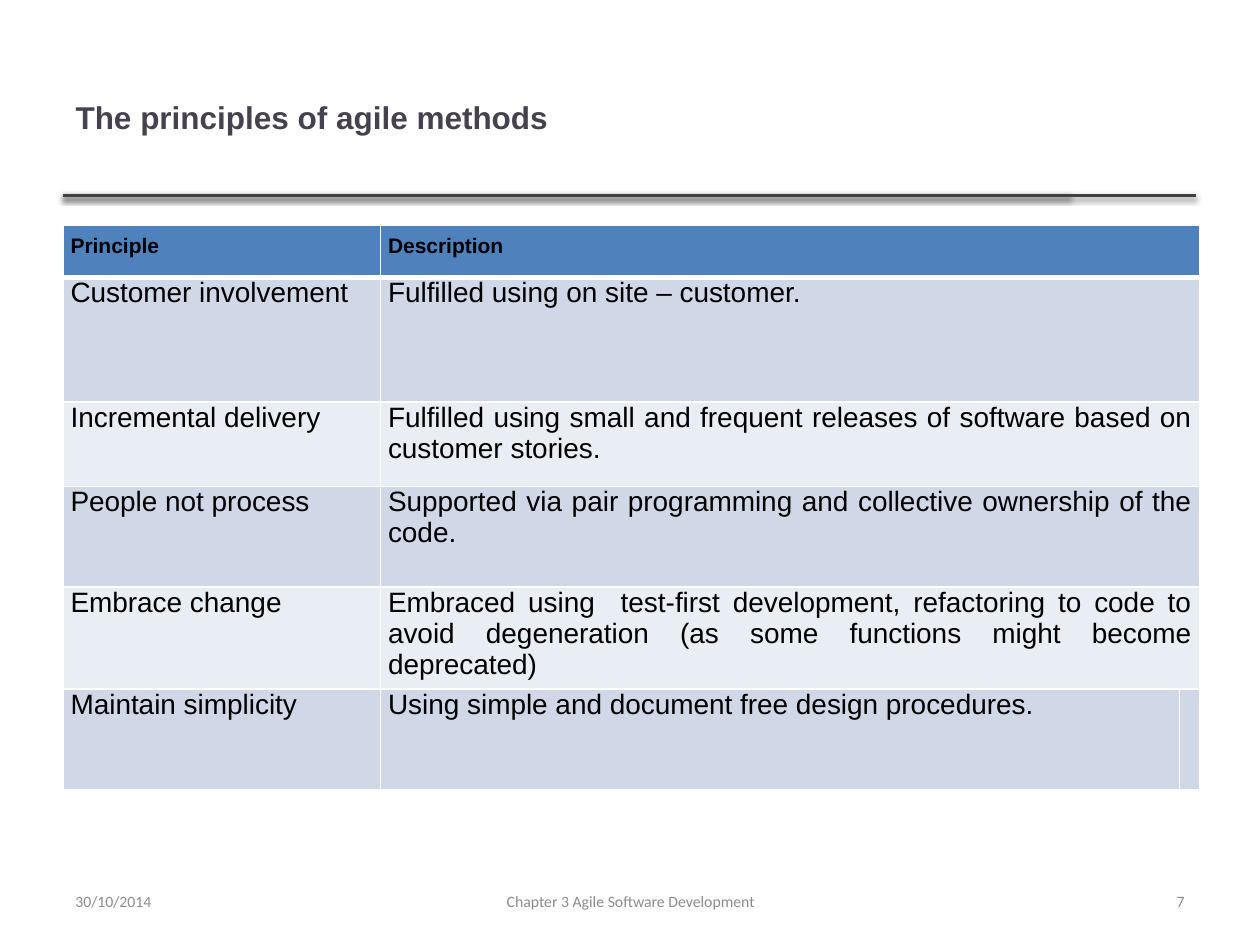
"""Build the slide on the principles of agile methods."""
from lxml.etree import SubElement
from pptx import Presentation
from pptx.dml.color import RGBColor
from pptx.enum.shapes import MSO_CONNECTOR as Connector
from pptx.enum.text import MSO_ANCHOR as Anchor, PP_ALIGN as Align
from pptx.oxml import parse_xml
from pptx.oxml.ns import nsdecls, qn
from pptx.util import Inches, Pt

TITLE = "The principles of agile methods"
ROWS = [
    ("Principle", "Description"),
    ("Customer involvement", "Fulfilled using on site – customer."),
    ("Incremental delivery", "Fulfilled using small and frequent releases of software "
     "based on customer stories."),
    ("People not process", "Supported via pair programming and collective ownership of the code."),
    ("Embrace change", "Embraced using  test-first development, refactoring to code to avoid "
     "degeneration (as some functions might become deprecated)"),
    ("Maintain simplicity", "Using simple and document free design procedures."),
]
FOOTERS = [
    ("30/10/2014", 0.5, 2.33, Align.LEFT),
    ("Chapter 3 Agile Software Development", 3.42, 3.17, Align.CENTER),
    ("7", 7.17, 2.33, Align.RIGHT),
]
WIDTH, HEIGHT, MARGIN = 10, 7.5, 0.5
COLUMN_WIDTHS = [2.52, 6.34, 0.14]
ROW_HEIGHTS = [0.41, 0.99, 0.67, 0.8, 0.79, 0.8]
RULE_TOP, RULE_ENDS = 1.55, (8.49, 9.49)
HEADER_FILL, BAND_FILLS = "4F81BD", ("E9EDF4", "D0D8E8")
TITLE_FONT = {"name": "Arial", "size": Pt(18), "bold": True}
HEADER_FONT = {"name": "Arial", "size": Pt(12), "bold": True}
BODY_FONT = {"name": "Arial", "size": Pt(16), "bold": False}
FOOTER_FONT = {"name": "Calibri", "size": Pt(9), "bold": False}


def color(value):
    return RGBColor.from_string(value)


def set_values(target, values):
    for name, value in values.items():
        setattr(target, name, value)


def write(frame, text, font, shade, align):
    para = frame.paragraphs[0]
    para.alignment = align
    span = para.add_run()
    span.text = text
    set_values(span.font, font)
    span.font.color.rgb = color(shade)


def add_rule(page, end):
    rule = page.shapes.add_connector(
        Connector.STRAIGHT, *map(Inches, (MARGIN, RULE_TOP, end, RULE_TOP)))
    rule.line.width = Pt(2)
    rule.line.color.rgb = color("404040")
    effects = SubElement(rule._element.spPr, qn("a:effectLst"))
    effects.append(parse_xml(
        f'<a:outerShdw {nsdecls("a")} blurRad="{Pt(3.1)}" dist="{Pt(1.6)}" dir="5400000" '
        'rotWithShape="0"><a:srgbClr val="000000"><a:alpha val="38000"/></a:srgbClr></a:outerShdw>'))


def add_borders(cell, row):
    widths = {"L": 1, "R": 1, "T": 3 if row == 1 else 1, "B": 3 if row == 0 else 1}
    for place, (side, width) in enumerate(widths.items()):
        cell._tc.get_or_add_tcPr().insert(place, parse_xml(
            f'<a:ln{side} {nsdecls("a")} w="{Pt(width)}"><a:solidFill>'
            f'<a:srgbClr val="FFFFFF"/></a:solidFill></a:ln{side}>'))


def add_principles(page):
    size = (MARGIN, 1.79, sum(COLUMN_WIDTHS), sum(ROW_HEIGHTS))
    table = page.shapes.add_table(
        len(ROWS), len(COLUMN_WIDTHS), *map(Inches, size)).table
    for column, width in zip(table.columns, COLUMN_WIDTHS):
        column.width = Inches(width)
    for index, (texts, height) in enumerate(zip(ROWS, ROW_HEIGHTS)):
        table.rows[index].height = Inches(height)
        header = index == 0
        margins = {"margin_left": Inches(0.06), "margin_right": Inches(0.06),
                   "margin_top": Inches(0.07 if header else 0), "margin_bottom": Inches(0.07)}
        for cell in table.rows[index].cells:
            set_values(cell, margins)
            cell.fill.solid()
            cell.fill.fore_color.rgb = color(HEADER_FILL if header else BAND_FILLS[index % 2])
            add_borders(cell, index)
        for column, text in enumerate(texts):
            write(table.cell(index, column).text_frame, text,
                  HEADER_FONT if header else BODY_FONT, "000000", Align.JUSTIFY)
        if index < len(ROWS) - 1:
            table.cell(index, 1).merge(table.cell(index, 2))


def add_footer(page, text, left, width, align):
    box = page.shapes.add_textbox(*map(Inches, (left, 6.95, width, 0.4)))
    set_values(box.text_frame, {"word_wrap": True, "vertical_anchor": Anchor.MIDDLE})
    write(box.text_frame, text, FOOTER_FONT, "8C8C8C", align)


def main():
    deck = Presentation()
    set_values(deck, {"slide_width": Inches(WIDTH), "slide_height": Inches(HEIGHT)})
    page = deck.slides.add_slide(deck.slide_layouts[5])
    for end in RULE_ENDS:
        add_rule(page, end)
    title = page.shapes.title
    set_values(title, {"left": Inches(MARGIN), "top": Inches(0.3),
                       "width": Inches(7.98), "height": Inches(1.25)})
    title.text_frame.vertical_anchor = Anchor.MIDDLE
    write(title.text_frame, TITLE, TITLE_FONT, "46424D", Align.LEFT)
    add_principles(page)
    for footer in FOOTERS:
        add_footer(page, *footer)
    deck.save("out.pptx")


if __name__ == "__main__":
    main()
